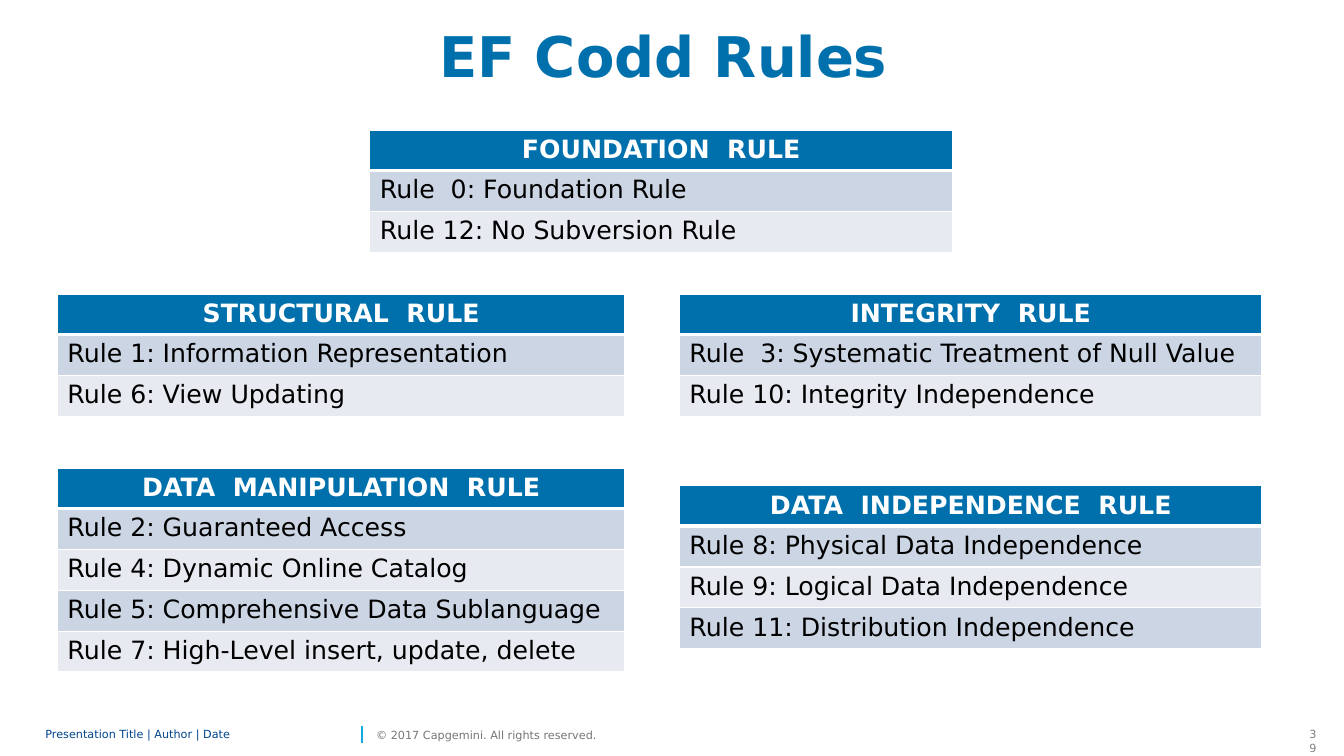
"""Build the EF Codd Rules slide with its five rule tables."""
from lxml import etree
from pptx import Presentation
from pptx.dml.color import RGBColor
from pptx.enum.shapes import MSO_CONNECTOR
from pptx.enum.text import MSO_ANCHOR, PP_ALIGN
from pptx.oxml.ns import qn
from pptx.util import Pt

LEFT, CENTER, RIGHT = PP_ALIGN.LEFT, PP_ALIGN.CENTER, PP_ALIGN.RIGHT
TOP, MIDDLE = MSO_ANCHOR.TOP, MSO_ANCHOR.MIDDLE
STRAIGHT = MSO_CONNECTOR.STRAIGHT

FONT = "DejaVu Sans"
BLUE, WHITE, BLACK = "0070AD", "FFFFFF", "000000"
BANDS = ("CCD5E3", "E7EBF1")
HEADER_H, ROW_H = 28.1, 29.2
LEFT_X, MIDDLE_X, RIGHT_X = 41, 264.2, 485.3
NARROW, WIDE = 405.4, 416.2

TABLES = [
    (LEFT_X, 210.2, NARROW, "STRUCTURAL  RULE", [
        "Rule 1: Information Representation",
        "Rule 6: View Updating"]),
    (RIGHT_X, 210.2, WIDE, "INTEGRITY  RULE", [
        "Rule  3: Systematic Treatment of Null Value",
        "Rule 10: Integrity Independence"]),
    (LEFT_X, 334.4, NARROW, "DATA  MANIPULATION  RULE", [
        "Rule 2: Guaranteed Access",
        "Rule 4: Dynamic Online Catalog",
        "Rule 5: Comprehensive Data Sublanguage",
        "Rule 7: High-Level insert, update, delete"]),
    (RIGHT_X, 347, WIDE, "DATA  INDEPENDENCE  RULE", [
        "Rule 8: Physical Data Independence",
        "Rule 9: Logical Data Independence",
        "Rule 11: Distribution Independence"]),
    (MIDDLE_X, 93, WIDE, "FOUNDATION  RULE", [
        "Rule  0: Foundation Rule",
        "Rule 12: No Subversion Rule"]),
]


def rgb(color):
    return RGBColor.from_string(color)


def write(tf, text, size, color, bold=False, align=LEFT):
    p = tf.paragraphs[0]
    p.text = text
    p.alignment = align
    font = p.runs[0].font
    font.name, font.size, font.bold = FONT, Pt(size), bold
    font.color.rgb = rgb(color)
    return p


def add_text(s, box, text, size, color, bold=False, align=LEFT,
             anchor=TOP, inset=True):
    tf = s.shapes.add_textbox(*map(Pt, box)).text_frame
    tf.word_wrap = True
    tf.vertical_anchor = anchor
    if not inset:
        tf.margin_left = tf.margin_right = tf.margin_top = tf.margin_bottom = 0
    return write(tf, text, size, color, bold, align)


def set_borders(cell, top, bottom):
    tc_pr = cell._tc.get_or_add_tcPr()
    for side, width in (("L", 1), ("R", 1), ("T", top), ("B", bottom)):
        ln = etree.SubElement(tc_pr, qn(f"a:ln{side}"), w=str(Pt(width)))
        fill = etree.SubElement(ln, qn("a:solidFill"))
        etree.SubElement(fill, qn("a:srgbClr"), val=WHITE)


def add_rules(s, x, y, width, heading, rules):
    height = HEADER_H + ROW_H * len(rules)
    table = s.shapes.add_table(len(rules) + 1, 1, Pt(x), Pt(y),
                               Pt(width), Pt(height)).table
    table.horz_banding = False
    for i, text in enumerate([heading] + rules):
        header = i == 0
        table.rows[i].height = Pt(HEADER_H if header else ROW_H)
        cell = table.cell(i, 0)
        set_borders(cell, 3 if i == 1 else 1, 3 if header else 1)
        cell.fill.solid()
        cell.fill.fore_color.rgb = rgb(BLUE if header else BANDS[(i - 1) % 2])
        write(cell.text_frame, text, 18, WHITE if header else BLACK,
              header, CENTER if header else LEFT)


def main():
    prs = Presentation()
    prs.slide_width, prs.slide_height = Pt(960), Pt(540)
    s = prs.slides.add_slide(prs.slide_layouts[6])

    add_text(s, (928, 516.2, 19.5, 17.3), "39", 8, "808080", align=RIGHT)
    divider = s.shapes.add_connector(STRAIGHT, Pt(258.5), Pt(530.6),
                                     Pt(258.5), Pt(518.4))
    divider.line.color.rgb = rgb("12ABDB")
    divider.line.width = Pt(1)
    etree.SubElement(divider._element.spPr, qn("a:effectLst"))
    footer = add_text(s, (32.4, 516.2, 222.5, 17.3),
                      "Presentation Title | Author | Date", 8, "00458D",
                      anchor=MIDDLE, inset=False)
    footer.line_spacing = 0.85
    add_text(s, (268.6, 516.2, 175, 17.3),
             "© 2017 Capgemini. All rights reserved.", 8, "767676",
             anchor=MIDDLE, inset=False)

    add_text(s, (0.7, 11.5, 960, 55.4), "EF Codd Rules ", 40, BLUE,
             bold=True, align=CENTER)
    for table in TABLES:
        add_rules(s, *table)
    prs.save("out.pptx")


if __name__ == "__main__":
    main()
